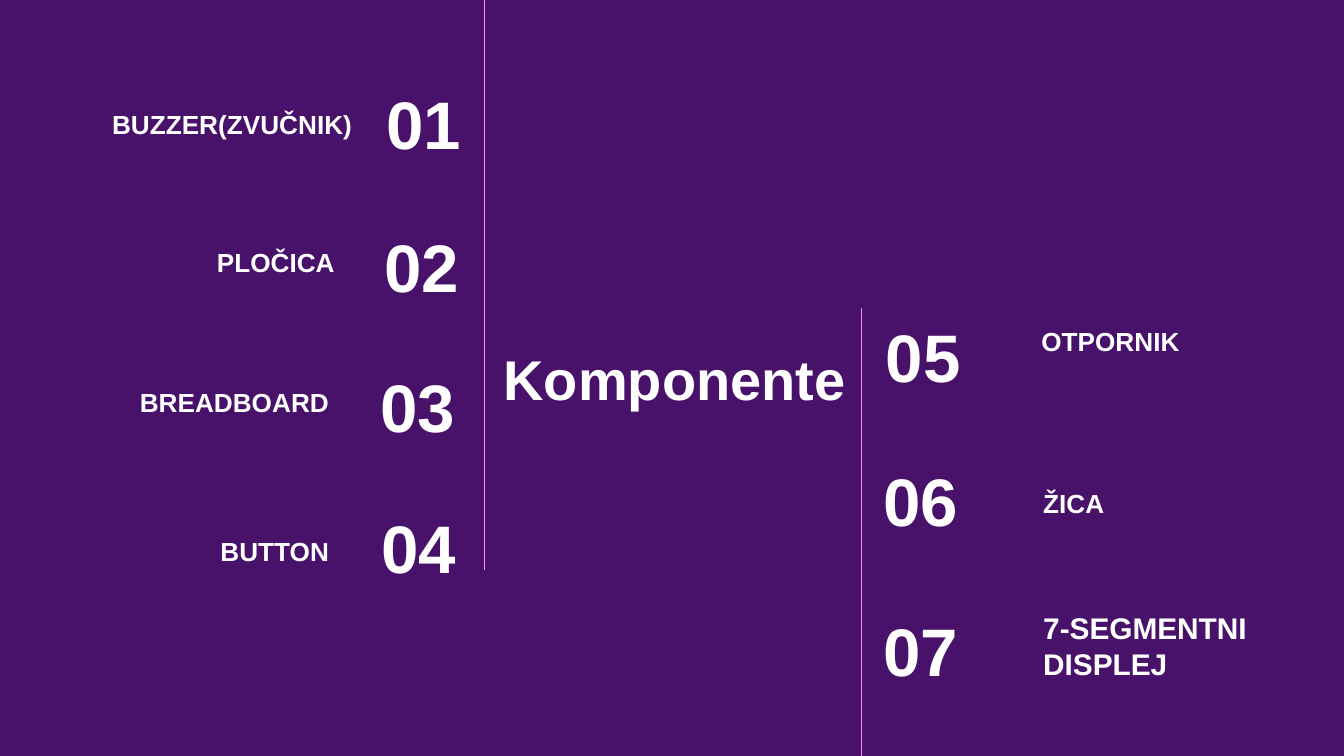
from dataclasses import dataclass

from lxml.etree import SubElement
from pptx import Presentation
from pptx.dml.color import RGBColor
from pptx.enum.shapes import MSO_CONNECTOR
from pptx.enum.text import MSO_ANCHOR, PP_ALIGN
from pptx.oxml.ns import qn
from pptx.util import Inches, Pt


@dataclass(frozen=True)
class Theme:
    background: RGBColor = RGBColor(0x48, 0x12, 0x6A)
    text: RGBColor = RGBColor(0xFF, 0xFF, 0xFF)
    rule: RGBColor = RGBColor(0xFF, 0x8C, 0xFF)
    font: str = "Arial"
    title: int = 30
    number: int = 36
    label: int = 14
    large_label: int = 16


theme = Theme()
deck = Presentation()
deck.slide_width = Inches(10)
deck.slide_height = deck.slide_width * 9 // 16
page = deck.slides.add_slide(deck.slide_layouts[6])
page.background.fill.solid()
page.background.fill.fore_color.rgb = theme.background

# Grid of 100 columns; rows have the same size as columns
unit = deck.slide_width / 100
LAST_ROW = deck.slide_height / unit


def grid(*steps):
    return [round(step * unit) for step in steps]


def add_text(text, place, size, align, anchor):
    box = page.shapes.add_textbox(*grid(*place))
    frame = box.text_frame
    frame.word_wrap = True
    frame.vertical_anchor = anchor
    frame.margin_left, frame.margin_top, frame.margin_right, frame.margin_bottom = grid(1, 1, 1, 1)
    para = frame.paragraphs[0]
    para.alignment = align
    para.font.size = Pt(size)
    span = para.add_run()
    span.text = text
    span.font.name = theme.font
    span.font.size = Pt(size)
    span.font.bold = True
    span.font.color.rgb = theme.text
    return para


# Title
add_text("Komponente", (36.3, 23, 27.8, 10.3), theme.title, PP_ALIGN.CENTER, MSO_ANCHOR.MIDDLE)

# Vertical rules beside the title
for column, top, bottom in ((36.07, 0, 42.4), (64.1, 22.9, LAST_ROW)):
    rule = page.shapes.add_connector(MSO_CONNECTOR.STRAIGHT, *grid(column, top, column, bottom))
    rule.line.color.rgb = theme.rule
    rule.line.width = Pt(0.75)
    SubElement(rule._element.spPr, qn("a:effectLst"))

# Components: name, label column and row, number column and row, label size
left_items = (
    ("BUZZER(ZVUČNIK)", 5.6, 7.4, 23.2, 6, theme.label),
    ("PLOČICA", 4.3, 15.35, 23.03, 16.6, theme.label),
    ("BREADBOARD", 3.87, 25.75, 22.76, 27.05, theme.label),
    ("BUTTON", 3.87, 36.85, 22.8, 37.5, theme.label),
)
right_items = (
    ("OTPORNIK", 76.5, 21.25, 64.93, 23.3, theme.label),
    ("ŽICA", 76.64, 33.3, 64.75, 34.05, theme.label),
    ("7-SEGMENTNI DISPLEJ", 76.64, 45.4, 64.75, 45.2, theme.large_label),
)
LABEL_WIDTH, ITEM_HEIGHT = 21.6, 6.3
sides = (
    (left_items, 1, 12.1, PP_ALIGN.RIGHT),
    (right_items, 1 + len(left_items), 11.7, PP_ALIGN.LEFT),
)
for items, first, number_width, align in sides:
    for number, item in enumerate(items, first):
        name, label_column, label_row, number_column, number_row, size = item
        label = add_text(name, (label_column, label_row, LABEL_WIDTH, ITEM_HEIGHT),
                         size, align, MSO_ANCHOR.BOTTOM)
        if number == 1:
            # The first label sits one line above the bottom of its box
            label.add_line_break()
            label.line_spacing = 1
        add_text(f"{number:02d}", (number_column, number_row, number_width, ITEM_HEIGHT),
                 theme.number, align, MSO_ANCHOR.MIDDLE)

deck.save("out.pptx")
